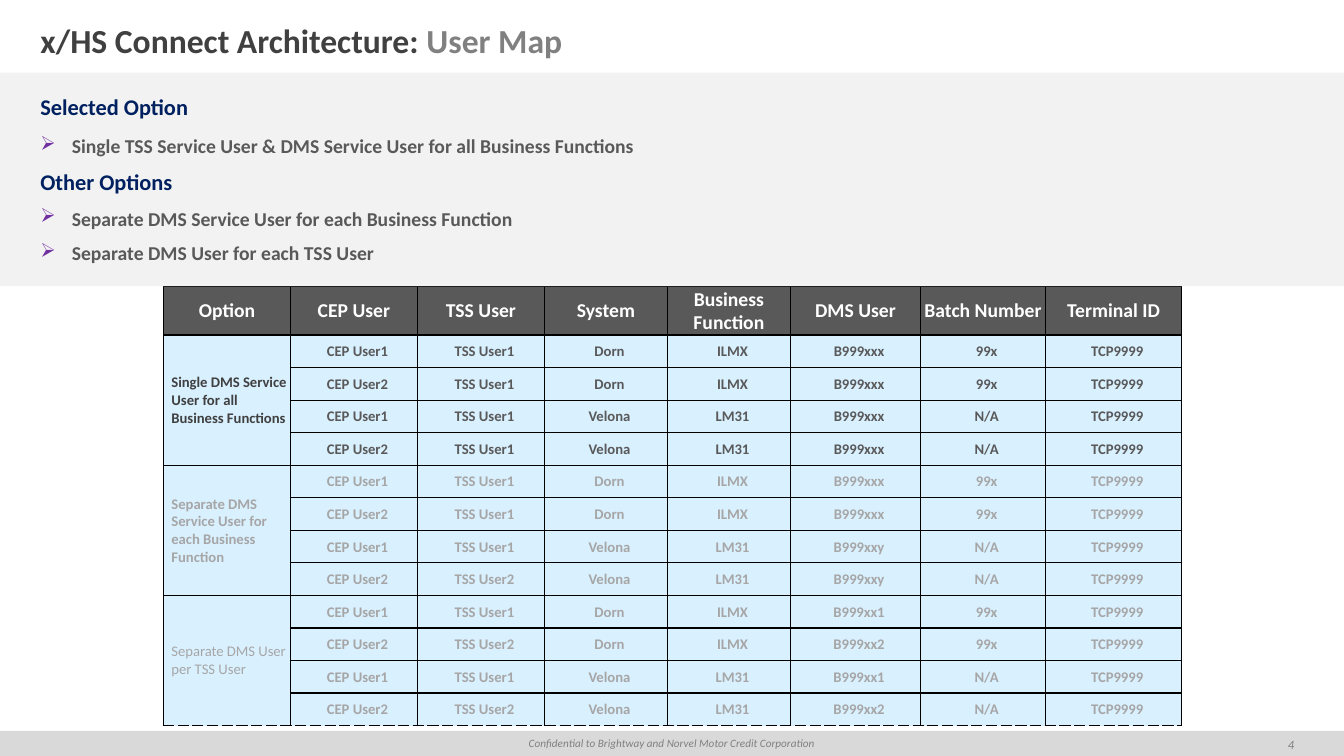
from lxml import etree
from pptx import Presentation
from pptx import util as u
from pptx.dml.color import RGBColor
from pptx.enum import shapes, text
from pptx.oxml import ns

WHITE = RGBColor(0xFF, 0xFF, 0xFF)
BLACK = RGBColor(0, 0, 0)
DARK = RGBColor(0x40, 0x40, 0x40)
SLATE = RGBColor(0x59, 0x59, 0x59)
GREY = RGBColor(0x80, 0x80, 0x80)
FADED = RGBColor(0xA6, 0xA6, 0xA6)
BAR = RGBColor(0xD9, 0xD9, 0xD9)
PANEL = RGBColor(0xF2, 0xF2, 0xF2)
NAVY = RGBColor(0x00, 0x20, 0x60)
PURPLE = RGBColor(0x70, 0x30, 0xA0)
SKY = RGBColor(0xD9, 0xF0, 0xFF)
WIDE = u.Cm(33.87)
LEFT, MID = text.PP_ALIGN.LEFT, text.PP_ALIGN.CENTER


def write(para, words, size, color, bold=True, italic=False):
    run = para.add_run()
    run.text = words
    look = {"name": "Calibri", "size": u.Pt(size), "bold": bold, "italic": italic}
    for key, val in look.items():
        setattr(run.font, key, val)
    run.font.color.rgb = color


def block(top, height, fill=None, left=0, width=WIDE, pad=(1.02, 0.51)):
    shape = slide.shapes.add_shape(
        shapes.MSO_SHAPE.RECTANGLE, left, u.Cm(top), width, u.Cm(height))
    shape.shadow.inherit = False
    shape.line.fill.background()
    if fill is None:
        shape.fill.background()
    else:
        shape.fill.solid()
        shape.fill.fore_color.rgb = fill
    frame = shape.text_frame
    side, edge = (u.Cm(gap) for gap in pad)
    look = {"word_wrap": True, "margin_left": side, "margin_right": side,
            "margin_top": edge, "margin_bottom": edge,
            "vertical_anchor": text.MSO_ANCHOR.MIDDLE}
    for key, val in look.items():
        setattr(frame, key, val)
    frame.paragraphs[0].alignment = LEFT
    return frame


deck = Presentation()
deck.slide_width, deck.slide_height = WIDE, u.Cm(19.05)
slide = deck.slides.add_slide(deck.slide_layouts[6])

# Footer bar and page number
foot = block(18.42, 0.63, BAR, pad=(0.25, 0)).paragraphs[0]
foot.alignment = MID
write(foot, "Confidential to Brightway and Norvel Motor Credit Corporation",
      8, GREY, False, True)
page = block(18.49, 0.56, None, u.Cm(31.75), u.Cm(1.57), (0.25, 0)).paragraphs[0]
page.alignment = MID
write(page, "4", 9, GREY, False, True)

# Title
title = block(0.41, 1.22).paragraphs[0]
write(title, "x/HS Connect Architecture: ", 24, DARK)
write(title, "User Map", 24, GREY)

# User map data
heads = ["Option", "CEP User", "TSS User", "System", "Business Function",
         "DMS User", "Batch Number", "Terminal ID"]
plans = [
    ("Single DMS Service User for all Business Functions", "1111",
     ["xxx", "xxx", "xxx", "xxx"], DARK, SLATE, True),
    ("Separate DMS Service User for each Business Function", "1112",
     ["xxx", "xxx", "xxy", "xxy"], FADED, FADED, True),
    ("Separate DMS User per TSS User", "1212",
     ["xx1", "xx2", "xx1", "xx2"], FADED, FADED, False),
]
systems = [("Dorn", "ILMX", "99x"), ("Velona", "LM31", "N/A")]
rows = [[(head, 14, WHITE, True) for head in heads]]
for name, tss, dms, tint, ink, bold in plans:
    for i in range(4):
        system, code, batch = systems[i // 2]
        line = [f"CEP User{i % 2 + 1}", f"TSS User{tss[i]}", system, code,
                f"B999{dms[i]}", batch, "TCP9999"]
        rows.append([(name if i == 0 else "", 10.5, tint, bold)]
                    + [(word, 10.5, ink, True) for word in line])

# User map table
wide = [3.2, 3.2, 3.2, 3.1, 3.1, 3.28, 3.15, 3.43]
high = [1.18] + [0.82] * 12
table = slide.shapes.add_table(
    len(rows), len(heads), u.Cm(4.12), u.Cm(7.22),
    u.Cm(sum(wide)), u.Cm(sum(high))).table
for col, size in zip(table.columns, wide):
    col.width = u.Cm(size)
for row, size in zip(table.rows, high):
    row.height = u.Cm(size)
for top in (1, 5, 9):
    table.cell(top, 0).merge(table.cell(top + 3, 0))

for r, row in enumerate(rows):
    for c, (words, size, ink, bold) in enumerate(row):
        cell = table.cell(r, c)
        look = {"margin_left": u.Cm(0.2 if r else 0.02), "margin_right": u.Cm(0.02),
                "margin_top": u.Cm(0.02), "margin_bottom": 0,
                "vertical_anchor": text.MSO_ANCHOR.MIDDLE}
        for key, val in look.items():
            setattr(cell, key, val)
        # Black grid, dashed along the foot of the table
        props = cell._tc.get_or_add_tcPr()
        for side in "LRTB":
            dash = side == "B" and (r == 12 or (r, c) == (9, 0))
            edge = etree.SubElement(props, ns.qn(f"a:ln{side}"),
                                    w=str(u.Pt(0.5 if dash else 1)))
            fill = etree.SubElement(edge, ns.qn("a:solidFill"))
            etree.SubElement(fill, ns.qn("a:srgbClr"), val=str(BLACK))
            etree.SubElement(edge, ns.qn("a:prstDash"), val="dash" if dash else "solid")
        cell.fill.solid()
        cell.fill.fore_color.rgb = SKY if r else SLATE
        if words:
            para = cell.text_frame.paragraphs[0]
            para.alignment = LEFT if r and c == 0 else MID
            write(para, words, size, ink, bold)

# Options panel
panel = block(1.83, 5.38, PANEL)
panel.vertical_anchor = text.MSO_ANCHOR.TOP
notes = [
    ("Selected Option", False, 10),
    ("Single TSS Service User & DMS Service User for all Business Functions", True, 8),
    ("Other Options", False, 8),
    ("Separate DMS Service User for each Business Function", True, 8),
    ("Separate DMS User for each TSS User", True, 8),
]
for i, (words, point, gap) in enumerate(notes):
    para = panel.add_paragraph() if i else panel.paragraphs[0]
    para.alignment = LEFT
    para.space_after = u.Pt(gap)
    write(para, words, 14 if point else 16, SLATE if point else NAVY)
    if point:
        props = para._p.get_or_add_pPr()
        props.set("marL", str(u.Cm(0.79)))
        props.set("indent", str(-u.Cm(0.79)))
        tone = etree.SubElement(props, ns.qn("a:buClr"))
        etree.SubElement(tone, ns.qn("a:srgbClr"), val=str(PURPLE))
        etree.SubElement(props, ns.qn("a:buChar"), char="➢")

deck.save("out.pptx")
